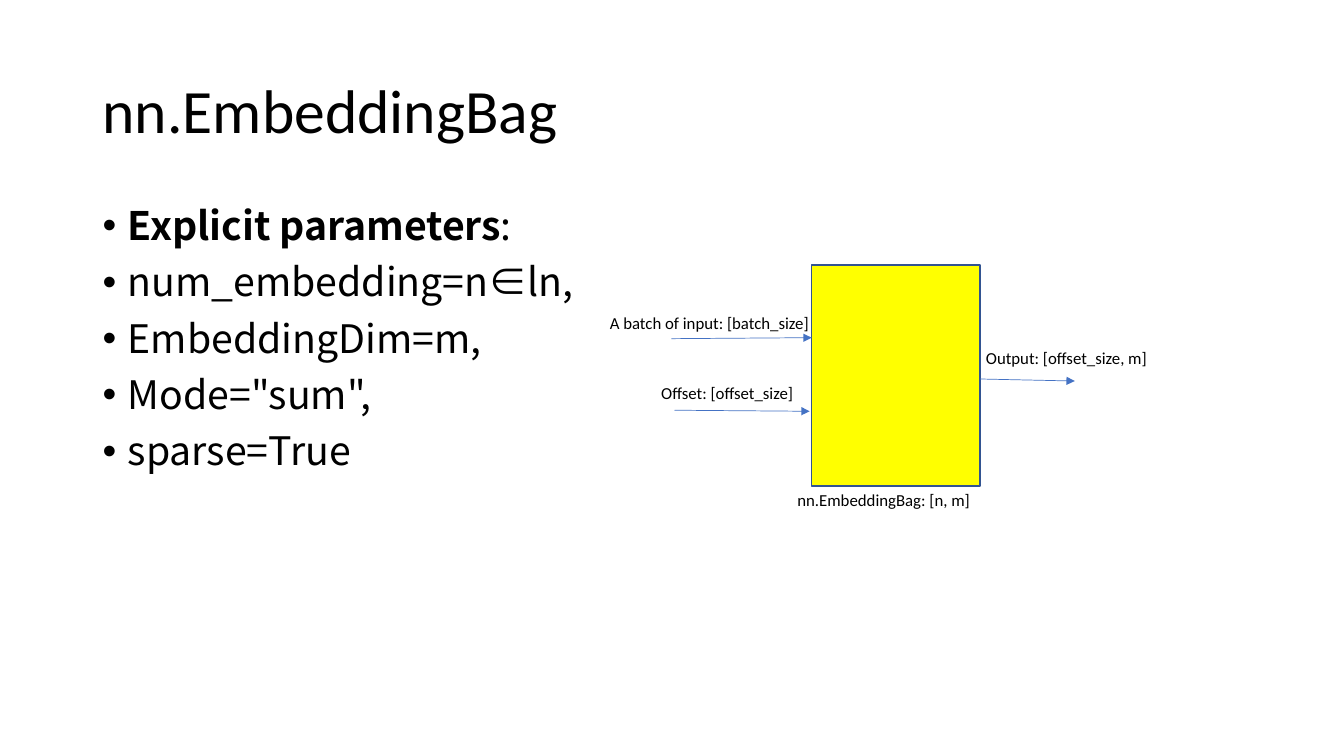
import pptx
import pptx.util
import pptx.dml.color
import pptx.enum.shapes
import pptx.enum.text
import pptx.oxml
import pptx.oxml.ns
from dataclasses import dataclass
from typing import Any

Inches = pptx.util.Inches
Pt = pptx.util.Pt
RGB = pptx.dml.color.RGBColor
qn = pptx.oxml.ns.qn
ANCHOR = pptx.enum.text.MSO_ANCHOR


@dataclass(frozen=True)
class Theme:
    text: RGB = RGB(0x00, 0x00, 0x00)
    box: RGB = RGB(0xFF, 0xFF, 0x00)
    box_line: RGB = RGB(0x32, 0x54, 0x91)
    arrow: RGB = RGB(0x44, 0x72, 0xC4)
    font: str = "Calibri"
    body_font: str = "Noto Sans CJK SC"
    title_pt: int = 44
    body_pt: int = 28
    label_pt: int = 12


@dataclass(frozen=True)
class Label:
    text: str
    left: float
    top: float
    width: float
    height: float


@dataclass(frozen=True)
class Arrow:
    x1: float
    y1: float
    x2: float
    y2: float


THEME = Theme()

# Each parameter is a list of (text, bold) runs
PARAMETERS = [
    [("Explicit parameters", True), (":", False)],
    [("num_embedding=n∈ln,", False)],
    [("EmbeddingDim=m,", False)],
    [('Mode="sum",', False)],
    [("sparse=True", False)],
]

LABELS = [
    Label("Output: [offset_size, m]", 9.68, 3.4, 1.88, 0.3),
    Label("Offset: [offset_size]", 6.46, 3.75, 2.52, 0.5),
    Label("A batch of input: [batch_size]", 5.95, 3.05, 2.52, 0.5),
    Label("nn.EmbeddingBag: [n, m]", 7.81, 4.81, 2.27, 0.3),
]

ARROWS = [
    Arrow(6.66, 3.36, 8.05, 3.35),
    Arrow(9.72, 3.76, 10.66, 3.78),
    Arrow(6.69, 4.07, 8.03, 4.08),
]


def apply(target: Any, values: dict[str, Any]) -> None:
    for name, value in values.items():
        setattr(target, name, value)


def add_run(p: Any, text: str, size: int, font: str, bold: bool = False) -> None:
    r = p.add_run()
    r.text = text
    apply(r.font, {"size": Pt(size), "name": font, "bold": bold})
    r.font.color.rgb = THEME.text
    ea = pptx.oxml.parse_xml(
        f'<a:ea {pptx.oxml.ns.nsdecls("a")} typeface="{font}"/>')
    r.font._element.find(qn("a:latin")).addnext(ea)


def add_text_frame(slide: Any, left: float, top: float, width: float,
                   height: float, anchor: Any = ANCHOR.TOP) -> Any:
    sp = slide.shapes.add_textbox(
        Inches(left), Inches(top), Inches(width), Inches(height))
    apply(sp.text_frame, {"word_wrap": True, "vertical_anchor": anchor})
    return sp.text_frame


def add_title(slide: Any) -> None:
    p = add_text_frame(slide, 0.92, 0.4, 11.5, 1.45, ANCHOR.MIDDLE).paragraphs[0]
    p.line_spacing = 0.9
    add_run(p, "nn.EmbeddingBag", THEME.title_pt, THEME.font)


def add_parameters(slide: Any) -> None:
    tf = add_text_frame(slide, 0.92, 2, 11.5, 4.76)
    for i, runs in enumerate(PARAMETERS):
        p = tf.add_paragraph() if i else tf.paragraphs[0]
        apply(p, {"line_spacing": 0.9, "space_before": Pt(10 if i else 0)})
        props = p._p.get_or_add_pPr()
        props.set("marL", str(Inches(0.25)))
        props.set("indent", str(Inches(-0.25)))
        for tag, key, value in (("buFont", "typeface", "Arial"),
                                ("buChar", "char", "•")):
            props.append(pptx.oxml.parse_xml(
                f'<a:{tag} {pptx.oxml.ns.nsdecls("a")} {key}="{value}"/>'))
        for text, bold in runs:
            add_run(p, text, THEME.body_pt, THEME.body_font, bold)


def add_label(slide: Any, label: Label) -> None:
    tf = add_text_frame(slide, label.left, label.top, label.width, label.height)
    add_run(tf.paragraphs[0], label.text, THEME.label_pt, THEME.font)


def add_module_box(slide: Any) -> None:
    sp = slide.shapes.add_shape(
        pptx.enum.shapes.MSO_SHAPE.RECTANGLE,
        Inches(8.05), Inches(2.63), Inches(1.67), Inches(2.19))
    sp.shadow.inherit = False
    sp.fill.solid()
    sp.fill.fore_color.rgb = THEME.box
    sp.line.color.rgb = THEME.box_line
    sp.line.width = Pt(1)


def add_arrow(slide: Any, arrow: Arrow) -> None:
    sp = slide.shapes.add_connector(
        pptx.enum.shapes.MSO_CONNECTOR.STRAIGHT,
        Inches(arrow.x1), Inches(arrow.y1), Inches(arrow.x2), Inches(arrow.y2))
    sp.line.color.rgb = THEME.arrow
    sp.line.width = Pt(0.5)
    ns = pptx.oxml.ns.nsdecls("a")
    sp.line._get_or_add_ln().append(
        pptx.oxml.parse_xml(f'<a:tailEnd {ns} type="triangle"/>'))
    sp._element.spPr.append(pptx.oxml.parse_xml(f"<a:effectLst {ns}/>"))


def main() -> None:
    prs = pptx.Presentation()
    apply(prs, {"slide_width": Inches(13.33), "slide_height": Inches(7.5)})
    slide = prs.slides.add_slide(prs.slide_layouts[6])

    # Title and parameter list
    add_title(slide)
    add_parameters(slide)

    # Diagram of the module with its inputs and output
    add_module_box(slide)
    for label in LABELS:
        add_label(slide, label)
    for arrow in ARROWS:
        add_arrow(slide, arrow)

    prs.save("out.pptx")


if __name__ == "__main__":
    main()
